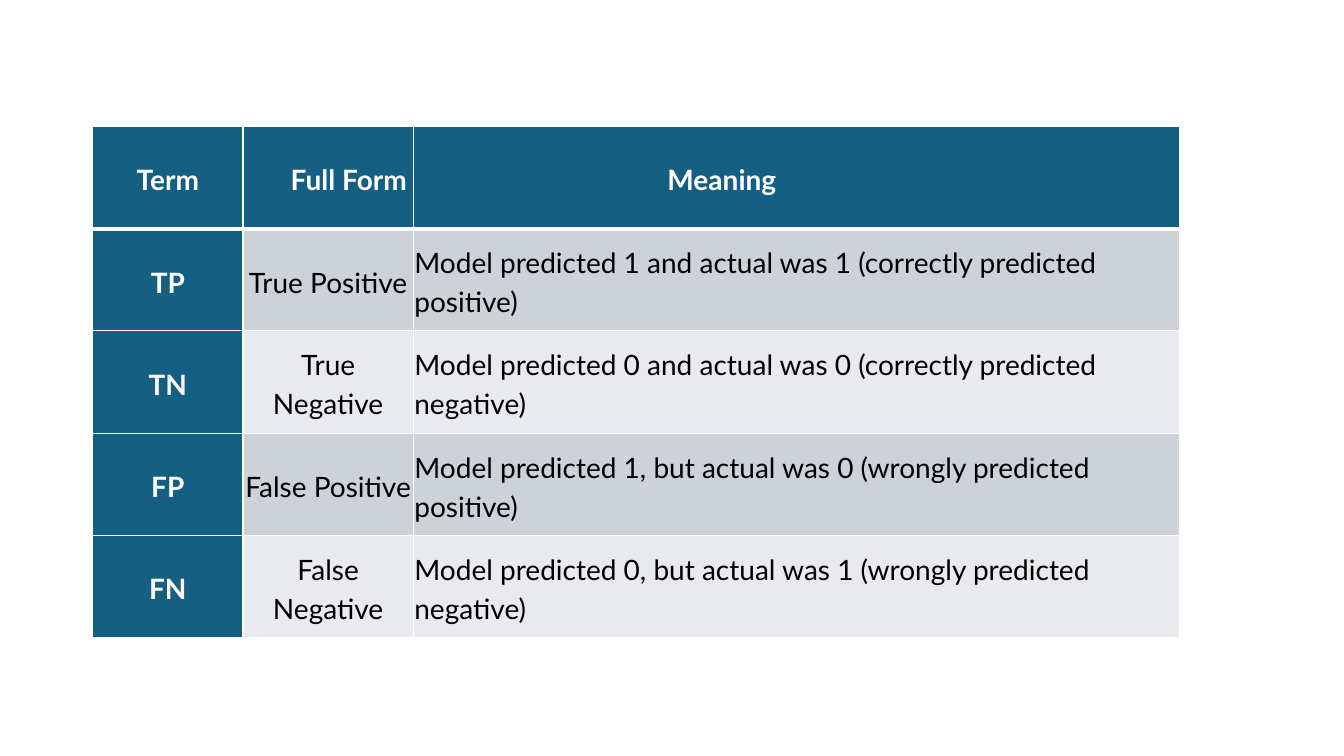
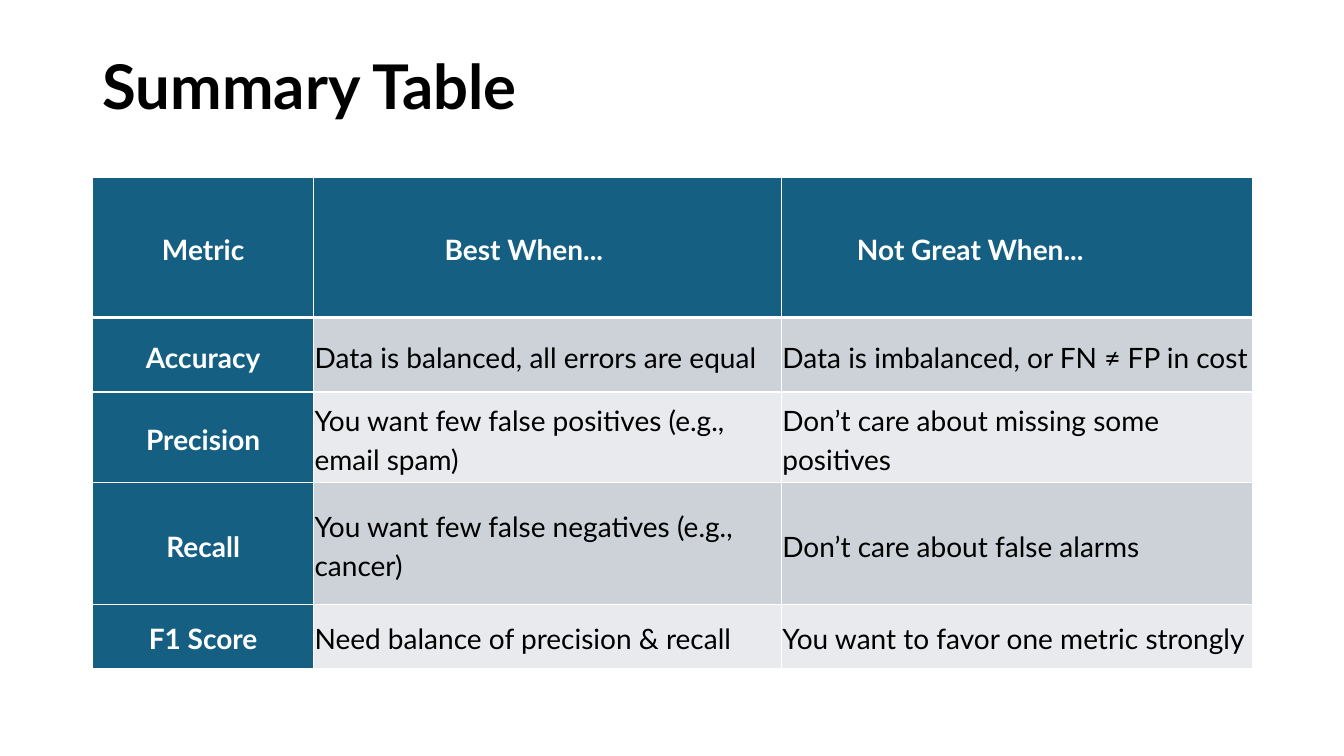
import lxml.etree
import pptx
import pptx.dml.color
import pptx.enum.text
import pptx.oxml.ns
import pptx.util

PX = 9144
FONT = "Lato"
WHITE = pptx.dml.color.RGBColor(0xFF, 0xFF, 0xFF)
BLACK = pptx.dml.color.RGBColor(0x00, 0x00, 0x00)
TEAL = pptx.dml.color.RGBColor(0x15, 0x60, 0x82)
BANDS = (
    pptx.dml.color.RGBColor(0xCC, 0xD2, 0xD8),
    pptx.dml.color.RGBColor(0xE8, 0xEA, 0xED),
)
CENTER = pptx.enum.text.PP_ALIGN.CENTER
LEFT = pptx.enum.text.PP_ALIGN.LEFT
MIDDLE = pptx.enum.text.MSO_ANCHOR.MIDDLE
PAGE_SIZE = (1333, 750)
MARGIN = 92
CELL_INSET = 1

TERM_ROWS = [
    ("Term", "Full Form", "Meaning"),
    ("TP", "True Positive", "Model predicted 1 and actual was 1 (correctly predicted positive)"),
    ("TN", "True Negative", "Model predicted 0 and actual was 0 (correctly predicted negative)"),
    ("FP", "False Positive", "Model predicted 1, but actual was 0 (wrongly predicted positive)"),
    ("FN", "False Negative", "Model predicted 0, but actual was 1 (wrongly predicted negative)"),
]
METRIC_ROWS = [
    ("Metric", "Best When...", "Not Great When..."),
    ("Accuracy", "Data is balanced, all errors are equal", "Data is imbalanced, or FN ≠ FP in cost"),
    ("Precision", "You want few false positives (e.g., email spam)", "Don’t care about missing some positives"),
    ("Recall", "You want few false negatives (e.g., cancer)", "Don’t care about false alarms"),
    ("F1 Score", "Need balance of precision & recall", "You want to favor one metric strongly"),
]


def px(length):
    return pptx.util.Emu(length * PX)


def add_text(para, text, size, color, bold):
    span = para.add_run()
    span.text = text
    span.font.name = FONT
    span.font.size = pptx.util.Pt(size)
    span.font.bold = bold
    span.font.color.rgb = color


def set_borders(cell, widths):
    properties = cell._tc.get_or_add_tcPr()
    for position, (side, width) in enumerate(widths.items()):
        line = lxml.etree.Element(pptx.oxml.ns.qn(f"a:ln{side}"), w=str(pptx.util.Pt(width)))
        fill = lxml.etree.SubElement(line, pptx.oxml.ns.qn("a:solidFill"))
        lxml.etree.SubElement(fill, pptx.oxml.ns.qn("a:srgbClr"), val=str(WHITE))
        properties.insert(position, line)


def fill_cell(cell, text, row, column, align, indent):
    strong = row == 0 or column == 0
    cell.margin_left = px(indent)
    cell.margin_right = cell.margin_top = cell.margin_bottom = px(CELL_INSET)
    cell.vertical_anchor = MIDDLE
    cell.fill.solid()
    cell.fill.fore_color.rgb = TEAL if strong else BANDS[(row - 1) % 2]
    set_borders(cell, {"L": 1, "R": 1, "T": 3 if row == 1 else 1, "B": 3 if row == 0 else 1})
    para = cell.text_frame.paragraphs[0]
    para.alignment = align
    para.line_spacing = 1.15
    para.space_after = pptx.util.Pt(8)
    add_text(para, text, 20, WHITE if strong else BLACK, strong)


def add_grid(page, box, rows, widths, heights, aligns, header_indents):
    grid = page.shapes.add_table(len(rows), len(widths), *map(px, box)).table
    grid.horz_banding = False
    for column, width in zip(grid.columns, widths):
        column.width = px(width)
    for grid_row, height in zip(grid.rows, heights):
        grid_row.height = px(height)
    for row, texts in enumerate(rows):
        for column, text in enumerate(texts):
            indent = header_indents[column] if row == 0 else CELL_INSET
            fill_cell(grid.cell(row, column), text, row, column, aligns[column], indent)


def add_title(page, box, text):
    title = page.shapes.add_textbox(*map(px, box))
    frame = title.text_frame
    frame.word_wrap = True
    frame.vertical_anchor = MIDDLE
    para = frame.paragraphs[0]
    para.line_spacing = 0.9
    add_text(para, text, 44, BLACK, True)


def equal_parts(total, count):
    edges = [round(total * step / count) for step in range(count + 1)]
    return [end - start for start, end in zip(edges, edges[1:])]


def build_terms(page):
    box = (MARGIN, 125, 1078, 508)
    add_grid(page, box, TERM_ROWS, (149, 169, 760), equal_parts(box[3], len(TERM_ROWS)),
             (CENTER, CENTER, LEFT), (CELL_INSET, 42, 252))


def build_summary(page):
    add_title(page, (MARGIN, 40, 1150, 97), "Summary Table")
    add_grid(page, (MARGIN, 176, 1150, 487), METRIC_ROWS, (219, 464, 467), (139, 74, 90, 121, 63),
             (CENTER, LEFT, LEFT), (CELL_INSET, 130, 75))


def main():
    deck = pptx.Presentation()
    deck.slide_width, deck.slide_height = map(px, PAGE_SIZE)
    for build in (build_terms, build_summary):
        build(deck.slides.add_slide(deck.slide_layouts[6]))
    deck.save("out.pptx")


if __name__ == "__main__":
    main()
